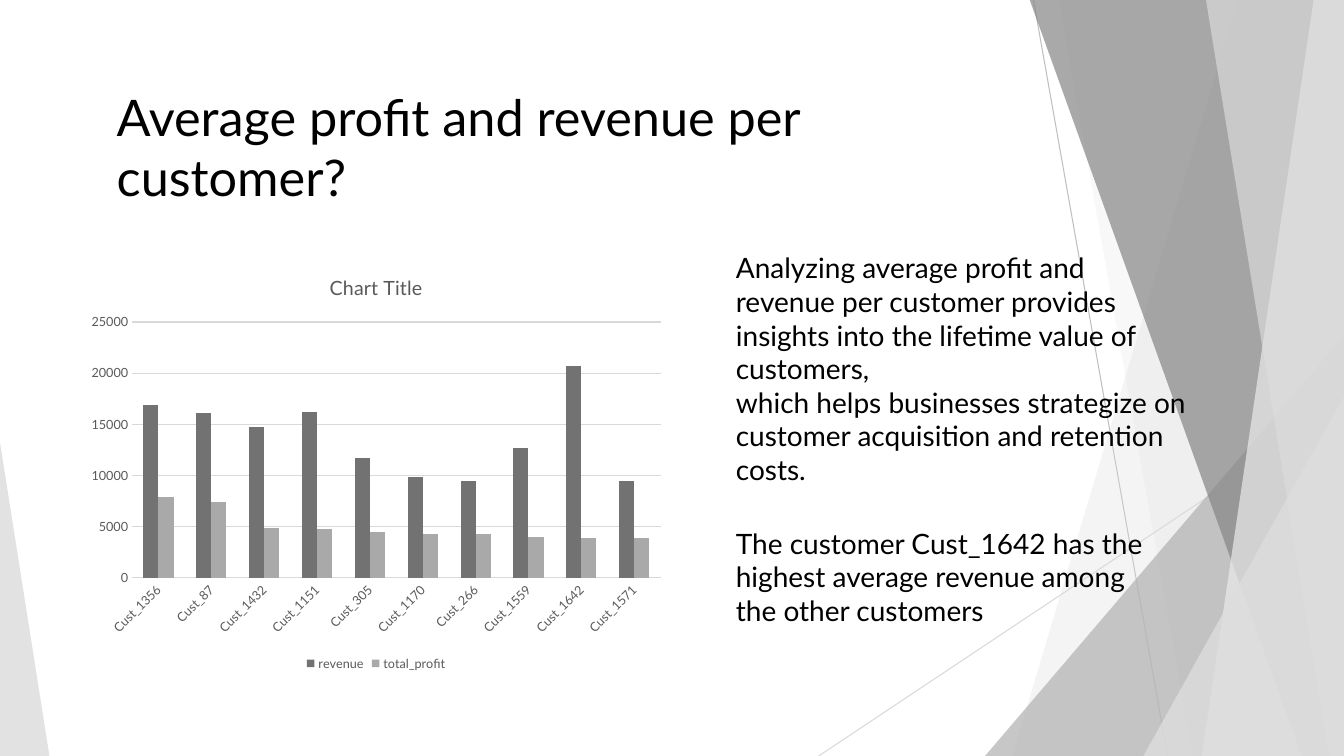
from lxml import etree
from pptx import Presentation
from pptx import util as u
from pptx.chart.data import CategoryChartData
from pptx.dml.color import RGBColor
from pptx.enum import chart as ch, shapes, text
from pptx.oxml.ns import qn

PX = 9144  # 100 px to the inch
W, H = 1333, 750
THEME = {
    "font": "Lato", "ink": "000000", "soft": "595959", "grid": "D9D9D9",
    "edge": "BFBFBF", "pale": "DDDDDD", "light": "EBEBEB", "mid": "B2B2B2",
    "dark": "858585", "revenue": "727272", "total_profit": "A9A9A9",
    "title": 36, "body": 20, "head": 14, "label": 9,
}


def style(font, size, color):
    look = {"name": THEME["font"], "size": u.Pt(THEME[size]), "bold": False}
    for key, val in look.items():
        setattr(font, key, val)
    font.color.rgb = RGBColor.from_string(THEME[color])


def paint(fill, color, alpha=100):
    """Fill with a solid colour at alpha percent opacity."""
    fill.solid()
    fill.fore_color.rgb = RGBColor.from_string(THEME[color])
    if alpha < 100:
        rgb = fill._xPr.find(qn("a:solidFill"))[0]
        etree.SubElement(rgb, qn("a:alpha")).set("val", str(alpha * 1000))


deck = Presentation()
deck.slide_width, deck.slide_height = W * PX, H * PX
slide = deck.slides.add_slide(deck.slide_layouts[6])
items = slide.shapes

# Thin crossing lines
for x1, y1, x2, y2, color in [(1025, 0, 1158, H, "edge"), (W, 403, 812, H, "grid")]:
    line = items.add_connector(shapes.MSO_CONNECTOR.STRAIGHT,
                               x1 * PX, y1 * PX, x2 * PX, y2 * PX)
    line.line.width = u.Pt(0.75)
    paint(line.line.fill, color)
    etree.SubElement(line._element.spPr, qn("a:effectLst"))

# Translucent facets: a band is (top x, bottom x) out to the right edge,
# a wedge is (left, top, width, apex) down to the bottom edge
facets = [
    ((1228, 1004), "pale", 30),
    ((1050, 1183), "pale", 20),
    ((977, 333, 356, 1), "mid", 72),
    ((1021, 1291), "dark", 70),
    ((1303, 1192), "light", 70),
    ((1196, 1318), "pale", 65),
    ((1134, 393, 199, 1), "pale", 80),
    ((0, 439, 49, 0), "pale", 85),
]
for place, color, alpha in facets:
    if len(place) == 2:
        top, foot = place
        path = items.build_freeform(top, -1, scale=PX)
        path.add_line_segments([(W, -1), (W, H), (foot, H)], close=True)
        facet = path.convert_to_shape()
    else:
        x, y, w, apex = place
        facet = items.add_shape(shapes.MSO_SHAPE.ISOSCELES_TRIANGLE,
                                x * PX, y * PX, w * PX, (H - y) * PX)
        facet.adjustments[0] = apex
    paint(facet.fill, color, alpha)
    facet.line.fill.background()
    facet.shadow.inherit = False

# Chart
data = CategoryChartData()
data.categories = [f"Cust_{n}" for n in
                   (1356, 87, 1432, 1151, 305, 1170, 266, 1559, 1642, 1571)]
data.add_series("revenue", [16900, 16100, 14700, 16200, 11700,
                            9900, 9500, 12700, 20700, 9500])
data.add_series("total_profit", [7900, 7400, 4900, 4800, 4500,
                                 4300, 4300, 4000, 3900, 3900])
chart = items.add_chart(ch.XL_CHART_TYPE.COLUMN_CLUSTERED,
                        79 * PX, 254 * PX, 588 * PX, 416 * PX, data).chart
style(chart.font, "label", "soft")
chart.has_title = True
head = chart.chart_title.text_frame
head.text = "Chart Title"
style(head.paragraphs[0].runs[0].font, "head", "soft")

plot = chart.plots[0]
for key, val in {"gap_width": 150, "overlap": 0, "vary_by_categories": False}.items():
    setattr(plot, key, val)
for bars in plot.series:
    paint(bars.format.fill, bars.name)

for axis in (chart.category_axis, chart.value_axis):
    axis.major_tick_mark = axis.minor_tick_mark = ch.XL_TICK_MARK.NONE
    axis.format.line.fill.background()
    style(axis.tick_labels.font, "label", "soft")
chart.category_axis._element.find(qn("c:txPr")).find(qn("a:bodyPr")).set("rot", "-2700000")
scale = {"minimum_scale": 0, "maximum_scale": 25000, "major_unit": 5000,
         "has_major_gridlines": True}
for key, val in scale.items():
    setattr(chart.value_axis, key, val)
grid = chart.value_axis.major_gridlines.format.line
grid.width = u.Pt(0.75)
paint(grid.fill, "grid")

chart.has_legend = True
chart.legend.position = ch.XL_LEGEND_POSITION.BOTTOM
chart.legend.include_in_layout = False
style(chart.legend.font, "label", "soft")

# Title and findings
notes = [
    ((106, 80, 907, 131), "title", ["Average profit and revenue per customer?"]),
    ((720, 244, 468, 313), "body", [
        "Analyzing average profit and revenue per customer provides insights "
        "into the lifetime value of customers,",
        "which helps businesses strategize on customer acquisition and "
        "retention costs."]),
    ((720, 517, 440, 111), "body", [
        "The customer Cust_1642 has the highest average revenue among "
        "the other customers"]),
]
for spot, size, lines in notes:
    frame = items.add_textbox(*[n * PX for n in spot]).text_frame
    frame.word_wrap = True
    frame.vertical_anchor = text.MSO_ANCHOR.TOP
    frame.text = "\n".join(lines)
    for para in frame.paragraphs:
        style(para.runs[0].font, size, "ink")

deck.save("out.pptx")
